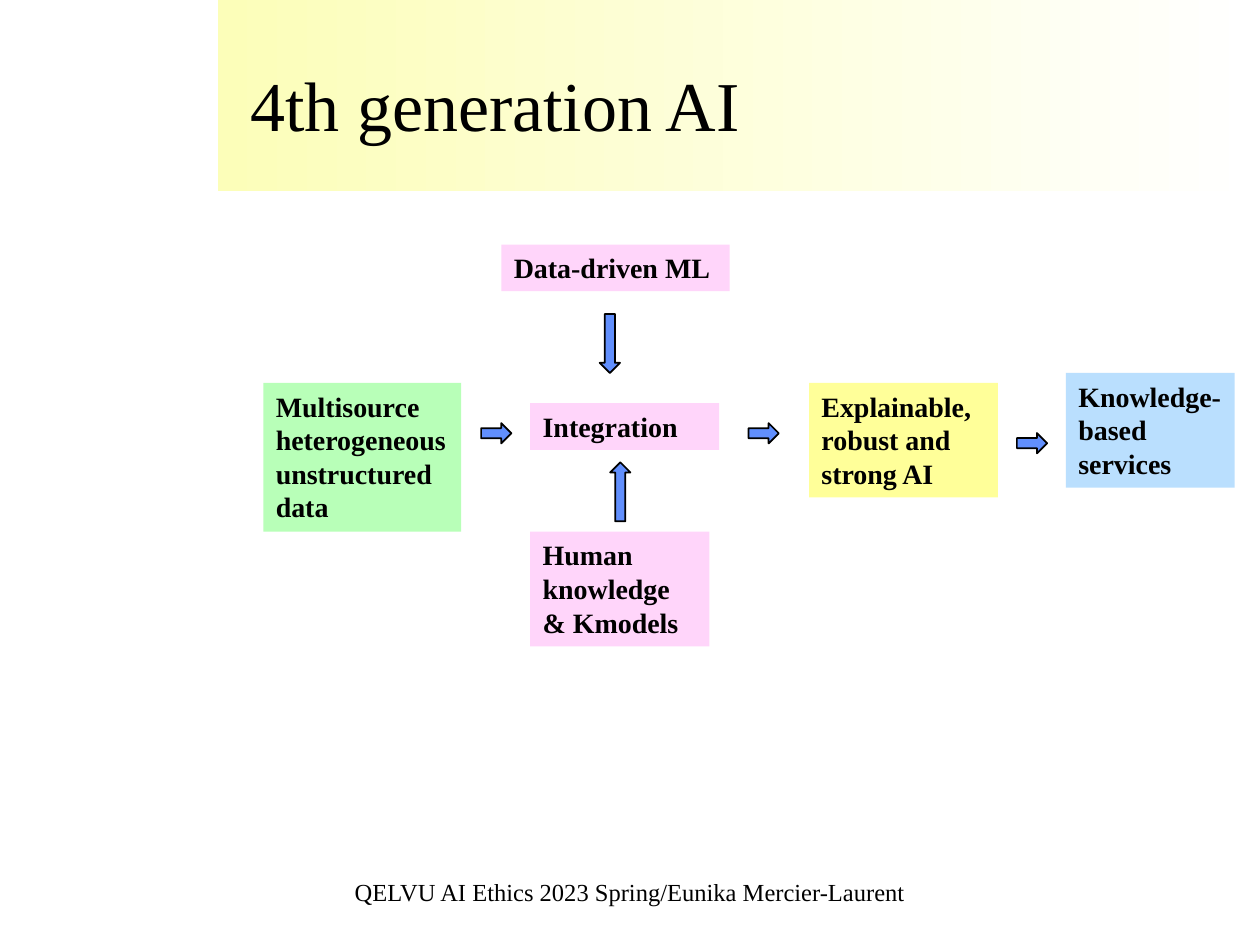
from pptx import Presentation
from pptx.dml.color import RGBColor
from pptx.enum.shapes import MSO_SHAPE
from pptx.enum.text import MSO_ANCHOR, PP_ALIGN
from pptx.util import Cm, Pt

RECT = MSO_SHAPE.RECTANGLE
RIGHT = MSO_SHAPE.RIGHT_ARROW
DOWN = MSO_SHAPE.DOWN_ARROW
UP = MSO_SHAPE.UP_ARROW
TOP, MIDDLE = MSO_ANCHOR.TOP, MSO_ANCHOR.MIDDLE
LEFT, CENTER = PP_ALIGN.LEFT, PP_ALIGN.CENTER

FACE = "Times New Roman"
INK, PINK, BLUE = "000000", "FFD5FA", "618FFD"
LONG, SHORT = 1.19, 0.41
DASH = 0.61

BOXES = [
    ("Multisource heterogeneous unstructured data", 0, 2.79, 3.99, 3, "B8FFB8"),
    ("Data-driven ML", 4.8, 0, 4.6, 0.94, PINK),
    ("Integration", 5.38, 3.2, 3.81, 0.94, PINK),
    ("Human knowledge & Kmodels", 5.38, 5.79, 3.61, 2.31, PINK),
    ("Explainable, robust and strong AI", 11, 2.79, 3.81, 2.31, "FFFF99"),
    ("Knowledge-based services", 16.18, 2.59, 3.4, 2.31, "BADFFE"),
]
ARROWS = [
    (DOWN, 6.78, 1.4, SHORT, LONG),
    (UP, 6.99, 4.39, SHORT, LONG),
    (RIGHT, 4.39, 3.6, DASH, SHORT),
    (RIGHT, 9.78, 3.6, DASH, SHORT),
    (RIGHT, 15.19, 3.8, DASH, SHORT),
]


def color(code):
    return RGBColor.from_string(code)


def add_form(slide, kind, x, y, w, h, fill=None):
    form = slide.shapes.add_shape(kind, Cm(x), Cm(y), Cm(w), Cm(h))
    form.shadow.inherit = False
    form.line.fill.background()
    if fill:
        form.fill.solid()
        form.fill.fore_color.rgb = color(fill)
    return form


def set_text(shape, text, size, anchor=TOP, align=LEFT, bold=False):
    frame = shape.text_frame
    frame.word_wrap = True
    frame.vertical_anchor = anchor
    para = frame.paragraphs[0]
    para.text = text
    para.alignment = align
    para.font.name = FACE
    para.font.size = Pt(size)
    para.font.bold = bold
    para.font.color.rgb = color(INK)
    return para


def add_title(slide, x, y, w, h):
    band = add_form(slide, RECT, x, y, w, h)
    band.fill.gradient()
    band.fill.gradient_angle = 0
    for stop, code in zip(band.fill.gradient_stops, ("FCFEB9", "FFFFFF")):
        stop.color.rgb = color(code)
    title = slide.shapes.add_textbox(
        Cm(x + 0.41), Cm(y + 0.79), Cm(w - 0.86), Cm(h - 0.91))
    para = set_text(title, "4th generation AI", 40, MIDDLE)
    para.line_spacing = 0.75


def add_flow(slide, x, y):
    for text, left, top, w, h, fill in BOXES:
        box = add_form(slide, RECT, x + left, y + top, w, h, fill)
        set_text(box, text, 16, bold=True)
    for kind, left, top, w, h in ARROWS:
        arrow = add_form(slide, kind, x + left, y + top, w, h, BLUE)
        arrow.line.color.rgb = color(INK)
        arrow.line.width = Pt(1)


def add_footer(slide, x, y, w, h):
    foot = slide.shapes.add_textbox(Cm(x), Cm(y), Cm(w), Cm(h))
    set_text(foot, "QELVU AI Ethics 2023 Spring/Eunika Mercier-Laurent",
             14, MIDDLE, CENTER)


def main():
    deck = Presentation()
    deck.slide_width, deck.slide_height = Cm(25.4), Cm(19.05)
    slide = deck.slides.add_slide(deck.slide_layouts[6])
    add_title(slide, 4.39, 0, 20.98, 3.86)
    add_footer(slide, 6.7, 17.35, 12, 1.27)
    add_flow(slide, 5.31, 4.93)
    deck.save("out.pptx")


if __name__ == "__main__":
    main()
